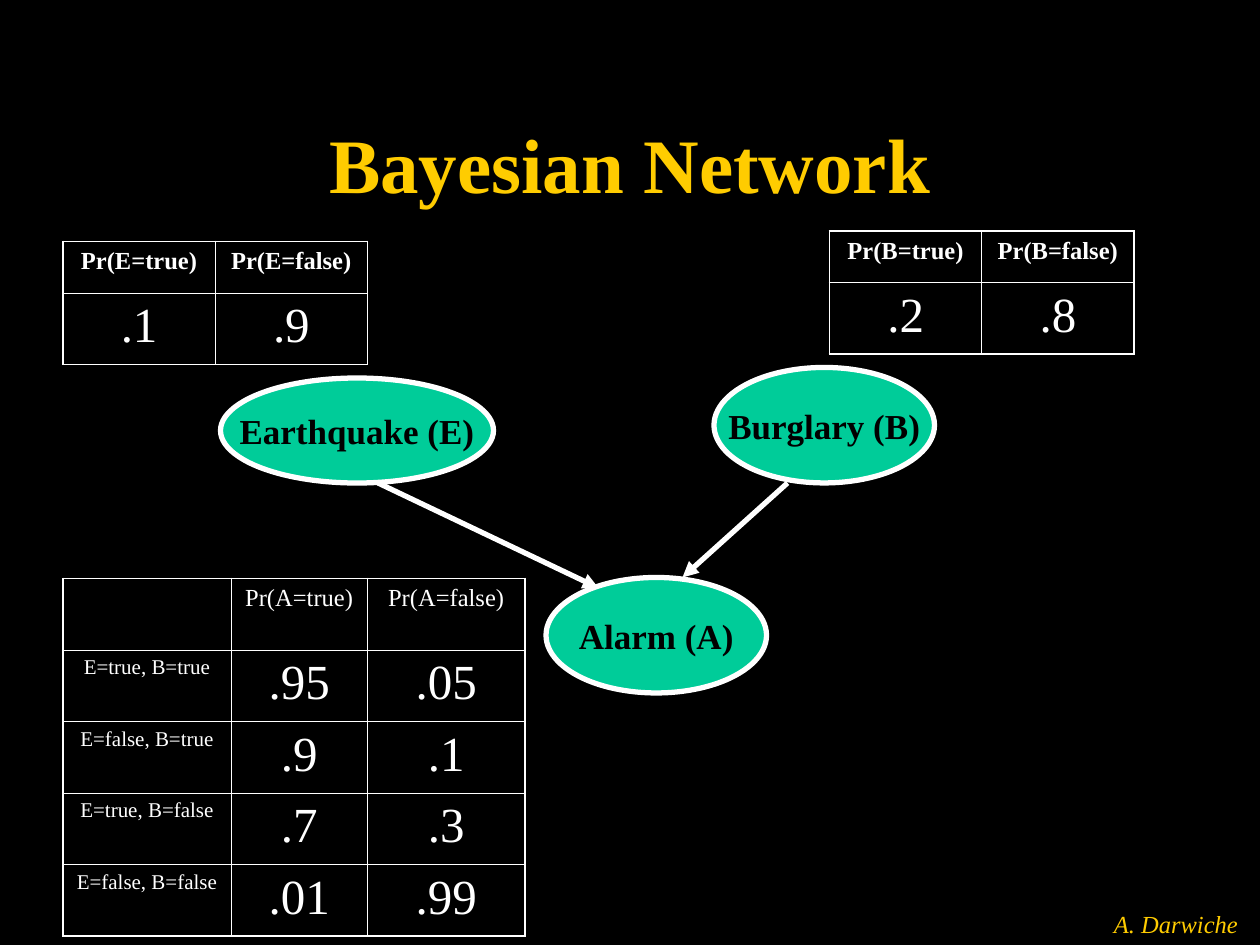
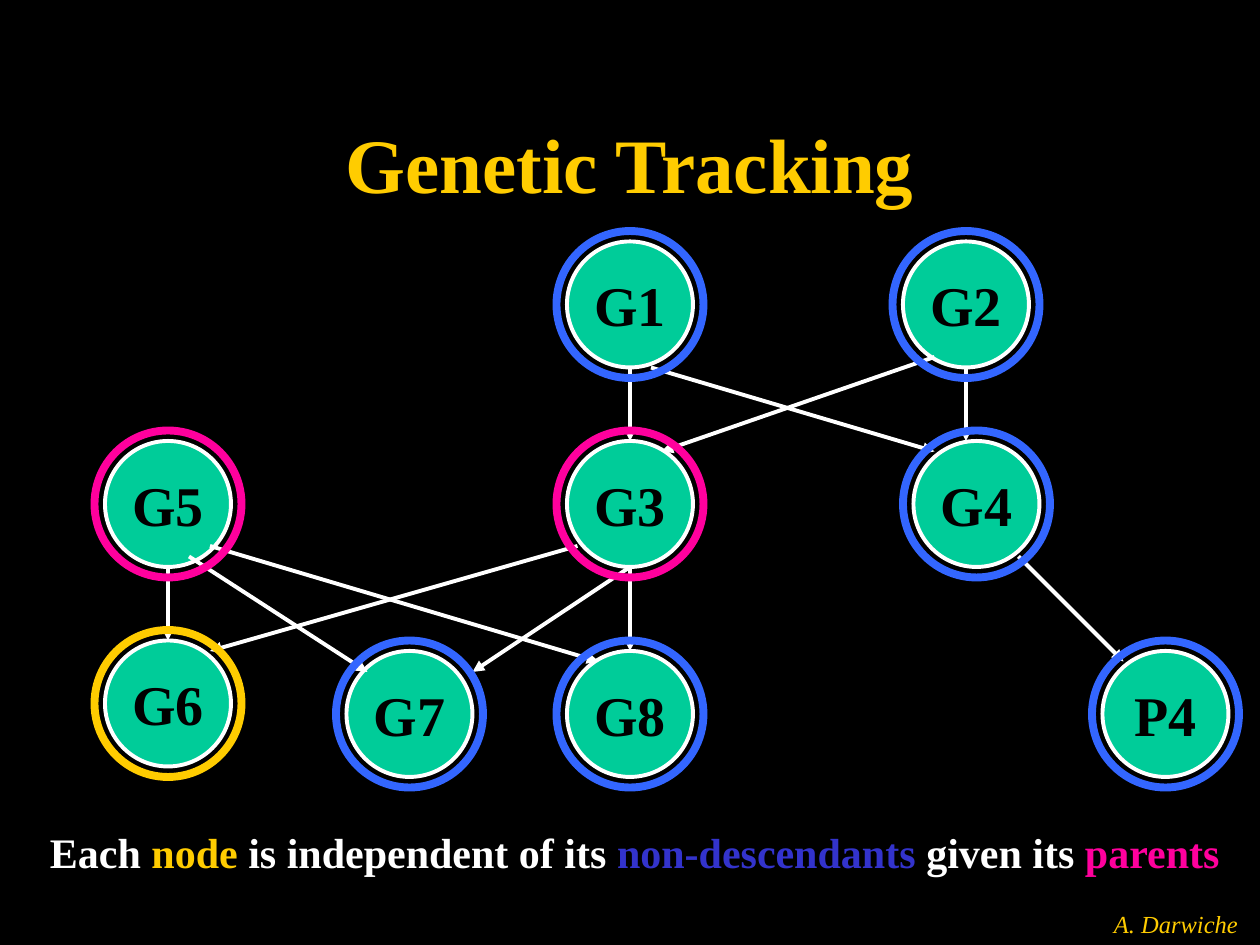
from lxml import etree
from pptx import Presentation
from pptx.dml.color import RGBColor
from pptx.enum.shapes import MSO_CONNECTOR, MSO_SHAPE
from pptx.enum.text import MSO_ANCHOR, PP_ALIGN
from pptx.oxml.ns import qn
from pptx.util import Emu, Pt

STRAIGHT = MSO_CONNECTOR.STRAIGHT
ELLIPSE = MSO_SHAPE.OVAL
TOP, MIDDLE = MSO_ANCHOR.TOP, MSO_ANCHOR.MIDDLE
CENTER = PP_ALIGN.CENTER

EMU_PER_PX = 7620  # 120 px to the inch
FONT = "Times New Roman"
BLACK, WHITE, GOLD, GREEN = "000000", "FFFFFF", "FFCC00", "00CC99"
PINK, BLUE, INDIGO = "FF009D", "3366FF", "3333CC"
OUTER_BORDER, INNER_BORDER = 1.08, 0.45


def px(length):
    return Emu(length * EMU_PER_PX)


def color(hex_string):
    return RGBColor.from_string(hex_string)


class Deck:
    """Holds the shared style and the current slide."""

    def __init__(self):
        self.prs = Presentation()
        self.prs.slide_width, self.prs.slide_height = px(1200), px(900)
        self.slide = None

    def new_slide(self, title):
        self.slide = self.prs.slides.add_slide(self.prs.slide_layouts[6])
        background = self.slide.background.fill
        background.solid()
        background.fore_color.rgb = color(BLACK)
        self.text((1040, 850, 160, 60), [("A. Darwiche", GOLD)], 14, italic=True)
        self.text((90, 80, 1020, 150), [(title, GOLD)], 44, bold=True)

    def style(self, paragraph, size, hex_string=None, bold=False, italic=False):
        paragraph.alignment = CENTER
        font = paragraph.font
        font.name, font.size = FONT, Pt(size)
        font.bold, font.italic = bold, italic
        if hex_string:
            font.color.rgb = color(hex_string)

    def text(self, box, pieces, size, bold=False, italic=False, anchor=MIDDLE):
        frame = self.slide.shapes.add_textbox(*map(px, box)).text_frame
        frame.word_wrap = False
        frame.vertical_anchor = anchor
        paragraph = frame.paragraphs[0]
        shared = pieces[0][1] if len(pieces) == 1 else None
        self.style(paragraph, size, shared, bold, italic)
        for words, hex_string in pieces:
            run = paragraph.add_run()
            run.text = words
            if not shared:
                run.font.color.rgb = color(hex_string)

    def ellipse(self, box, line, width, fill=None):
        oval = self.slide.shapes.add_shape(ELLIPSE, *map(px, box))
        oval.shadow.inherit = False
        oval.line.color.rgb = color(line)
        oval.line.width = Pt(width)
        if fill:
            oval.fill.solid()
            oval.fill.fore_color.rgb = color(fill)
        else:
            oval.fill.background()
        return oval

    def node(self, box, label, size, width):
        frame = self.ellipse(box, WHITE, width, GREEN).text_frame
        frame.word_wrap = False
        frame.vertical_anchor = MIDDLE
        frame.text = label
        self.style(frame.paragraphs[0], size, BLACK, bold=True)

    def arrow(self, start, end, width):
        link = self.slide.shapes.add_connector(STRAIGHT, *map(px, start + end))
        link.line.color.rgb = color(WHITE)
        link.line.width = Pt(width)
        etree.SubElement(link.line._get_or_add_ln(), qn("a:tailEnd"), type="triangle")
        etree.SubElement(link._element.spPr, qn("a:effectLst"))

    def border(self, cell, outer_sides):
        properties = cell._tc.get_or_add_tcPr()
        for position, side in enumerate("LRTB"):
            width = OUTER_BORDER if side in outer_sides else INNER_BORDER
            line = etree.Element(qn(f"a:ln{side}"), w=str(Pt(width)))
            solid = etree.SubElement(line, qn("a:solidFill"))
            etree.SubElement(solid, qn("a:srgbClr"), val=WHITE)
            properties.insert(position, line)

    def table(self, left, top, widths, heights, rows, bold_header=False):
        """Probability table: header row at 14 pt, values at 28, row labels at 12."""
        box = (left, top, sum(widths), sum(heights))
        grid = self.slide.shapes.add_table(len(rows), len(widths), *map(px, box)).table
        grid.first_row = grid.horz_banding = False
        for column, width in zip(grid.columns, widths):
            column.width = px(width)
        for r, (values, height) in enumerate(zip(rows, heights)):
            grid.rows[r].height = px(height)
            for c, value in enumerate(values):
                cell = grid.cell(r, c)
                cell.fill.background()
                cell.text = value
                size = 14 if r == 0 else 28 if value.startswith(".") else 12
                self.style(cell.text_frame.paragraphs[0], size, WHITE,
                           bold=bold_header and r == 0)
                edges = {"L": c == 0, "R": c == len(widths) - 1,
                         "T": r == 0, "B": r == len(rows) - 1}
                self.border(cell, [side for side, outer in edges.items() if outer])


def bayesian_network(deck):
    deck.new_slide("Bayesian Network")

    # Variables and their influence on the alarm
    deck.node((210, 360, 260, 100), "Earthquake (E)", 20, 3)
    deck.node((680, 350, 210, 110), "Burglary (B)", 20, 3)
    deck.node((520, 550, 210, 110), "Alarm (A)", 20, 3)
    deck.arrow((360, 460), (570, 560), 3)
    deck.arrow((750, 460), (650, 550), 3)

    # Prior probabilities
    for left, top, cause, yes, no in ((60, 230, "E", ".1", ".9"),
                                      (790, 220, "B", ".2", ".8")):
        header = (f"Pr({cause}=true)", f"Pr({cause}=false)")
        deck.table(left, top, (145, 145), (49, 68), (header, (yes, no)), bold_header=True)

    # Conditional probabilities of the alarm
    deck.table(60, 551, (160, 130, 150), (68,) * 5, (
        ("", "Pr(A=true)", "Pr(A=false)"),
        ("E=true, B=true", ".95", ".05"),
        ("E=false, B=true", ".9", ".1"),
        ("E=true, B=false", ".7", ".3"),
        ("E=false, B=false", ".01", ".99"),
    ))


def genetic_tracking(deck):
    deck.new_slide("Genetic Tracking")
    diameter, ring_gap = 120, 10

    # Nodes: left, top, ring colour by role
    people = {
        "G1": (540, 230, BLUE), "G2": (860, 230, BLUE),
        "G3": (540, 420, PINK), "G4": (870, 420, BLUE),
        "G5": (100, 420, PINK), "G6": (100, 610, GOLD),
        "G7": (330, 620, BLUE), "G8": (540, 620, BLUE),
        "P4": (1050, 620, BLUE),
    }
    for label, (left, top, _) in people.items():
        deck.node((left, top, diameter, diameter), label, 32, 2.25)

    # Parent-to-child arrows
    for start, end in (
        ((600, 350), (600, 420)),  # G1 to G3
        ((920, 350), (920, 420)),  # G2 to G4
        ((620, 350), (890, 430)),  # G1 to G4
        ((890, 340), (630, 430)),  # G2 to G3
        ((160, 540), (160, 610)),  # G5 to G6
        ((550, 520), (200, 620)),  # G3 to G6
        ((600, 540), (450, 640)),  # G3 to G7
        ((600, 540), (600, 620)),  # G3 to G8
        ((180, 530), (350, 640)),  # G5 to G7
        ((200, 520), (570, 630)),  # G5 to G8
        ((970, 530), (1070, 630)),  # G4 to P4
    ):
        deck.arrow(start, end, 2.25)

    # Rings over the arrows
    ring = diameter + 2 * ring_gap
    for left, top, role in people.values():
        deck.ellipse((left - ring_gap, top - ring_gap, ring, ring), role, 4.5)

    # Independence statement, coloured like the rings
    deck.text((35, 781, 1139, 60), [
        ("Each ", WHITE), ("node ", GOLD), ("is independent of its ", WHITE),
        ("non-descendants ", INDIGO), ("given its", WHITE), (" parents", PINK),
    ], 24, bold=True, anchor=TOP)


def main():
    deck = Deck()
    bayesian_network(deck)
    genetic_tracking(deck)
    deck.prs.save("out.pptx")


if __name__ == "__main__":
    main()
